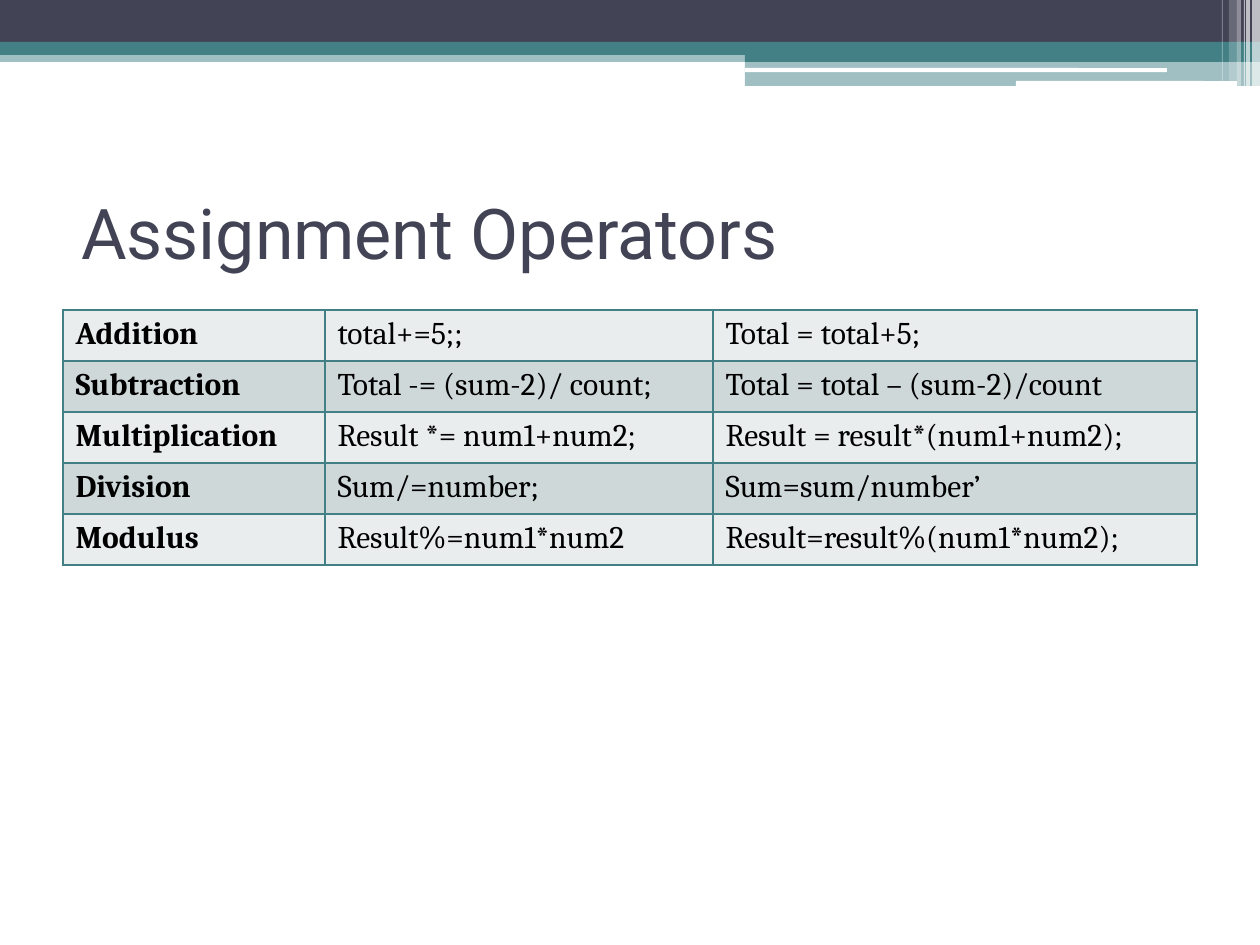
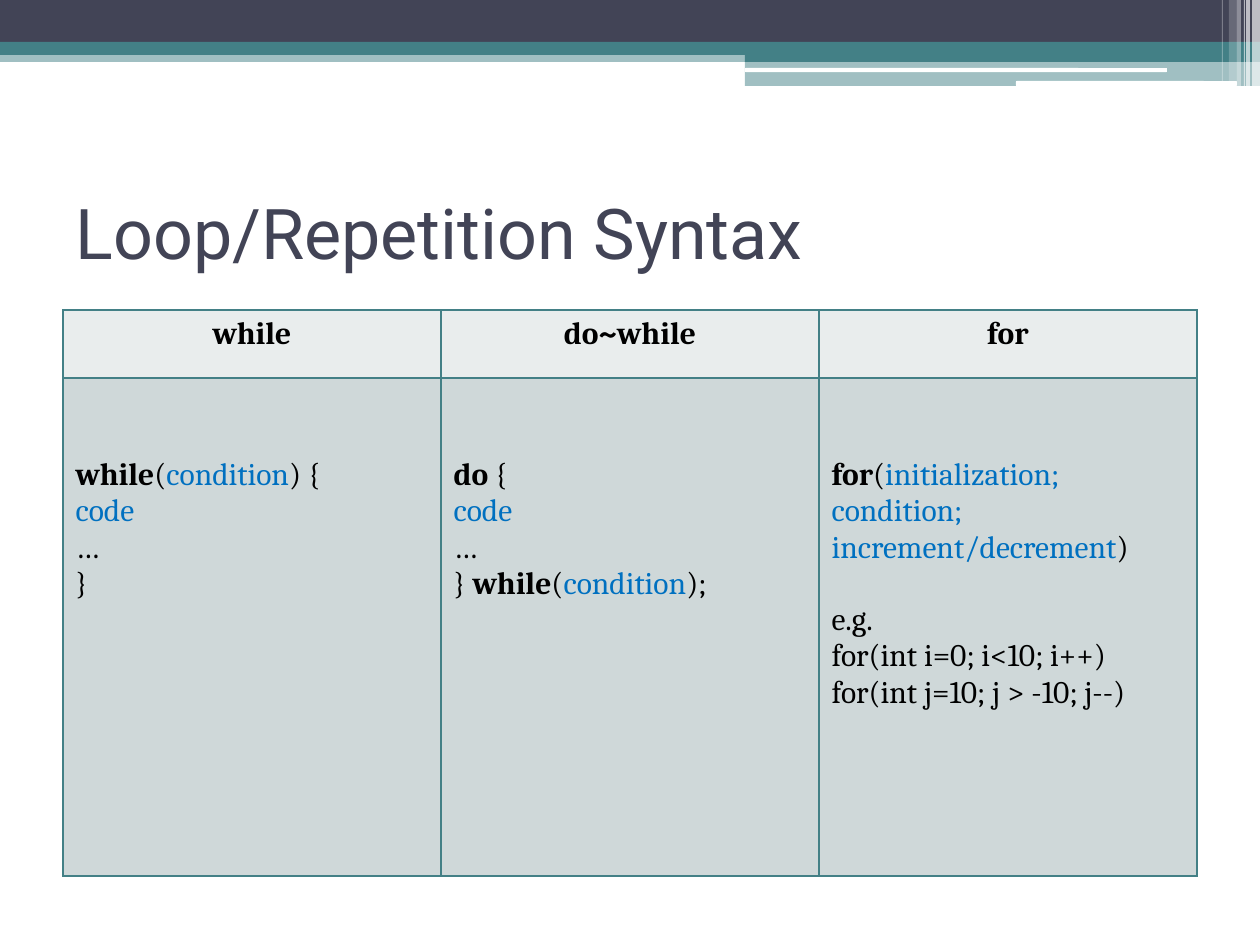
from typing import NamedTuple

from pptx import Presentation, oxml
from pptx import util as u
from pptx.dml import color
from pptx.enum import shapes, text
from pptx.oxml import ns

SCALE = 914400 / 126
DARK, TEAL, WHITE = "424456", "438086", "FFFFFF"
BLACK, BLUE = "000000", "0070C0"
FILLS = ("E9EDED", "CFD8D9")
RECT = shapes.MSO_SHAPE.RECTANGLE
ROUND = shapes.MSO_SHAPE.ROUNDED_RECTANGLE


class Band(NamedTuple):
    x: int
    y: int
    w: int
    h: int
    fill: str
    alpha: int = 100
    kind: int = RECT


class Run(NamedTuple):
    text: str
    bold: bool = False
    tint: str = BLACK


class Line(NamedTuple):
    runs: list[Run]
    gap: int = 0
    align: int = text.PP_ALIGN.LEFT


class Cell(NamedTuple):
    lines: list[Line]
    top: int = 6


BANDS = [
    Band(0, 50, 1260, 12, TEAL, 50),
    Band(0, 0, 1260, 42, DARK),
    Band(0, 42, 1260, 13, TEAL),
    Band(745, 49, 515, 13, TEAL),
    Band(745, 61, 515, 25, TEAL, 50),
    Band(745, 68, 422, 4, WHITE, kind=ROUND),
    Band(1016, 81, 221, 5, WHITE, kind=ROUND),
    Band(1252, 0, 8, 86, WHITE, 65),
    Band(1246, 0, 4, 86, WHITE, 65),
    Band(1244, 0, 1, 86, WHITE, 60),
    Band(1237, 0, 4, 86, WHITE, 40),
    Band(1229, 0, 8, 81, WHITE, 20),
    Band(1222, 0, 1, 81, WHITE, 30),
]

MATHS = [
    ("Addition", "total+=5;;", "Total = total+5;"),
    ("Subtraction", "Total -= (sum-2)/ count;", "Total = total – (sum-2)/count"),
    ("Multiplication", "Result *= num1+num2;", "Result = result*(num1+num2);"),
    ("Division", "Sum/=number;", "Sum=sum/number’"),
    ("Modulus", "Result%=num1*num2", "Result=result%(num1*num2);"),
]

CODE = [Line([Run("code", tint=BLUE)]), Line([Run("…")])]
TEST = Run("condition", tint=BLUE)
LOOPS = {
    "while": [
        Line([Run("while", True), Run("("), TEST, Run(") {")]),
        *CODE,
        Line([Run("}")]),
    ],
    "do~while": [
        Line([Run("do", True), Run(" {")]),
        *CODE,
        Line([Run("} "), Run("while", True), Run("("), TEST, Run(");")]),
    ],
    "for": [
        Line([
            Run("for", True),
            Run("("),
            Run("initialization; condition; increment/decrement", tint=BLUE),
            Run(")"),
        ]),
        Line([Run("e.g.")], gap=36),
        Line([Run("for(int i=0; i<10; i++)")]),
        Line([Run("for(int j=10; j > -10; j--)")]),
    ],
}


def px(size: int) -> u.Emu:
    return u.Emu(round(size * SCALE))


def paint(code: str) -> color.RGBColor:
    return color.RGBColor.from_string(code)


def add_run(para, run: Run, font: str, size: int) -> None:
    part = para.add_run()
    part.text = run.text
    part.font.name = font
    part.font.size = u.Pt(size)
    part.font.bold = run.bold
    part.font.color.rgb = paint(run.tint)


def draw_band(slide, band: Band) -> None:
    shape = slide.shapes.add_shape(
        band.kind, px(band.x), px(band.y), px(band.w), px(band.h)
    )
    shape.shadow.inherit = False
    shape.fill.solid()
    shape.fill.fore_color.rgb = paint(band.fill)
    shape.line.fill.background()
    if band.alpha < 100:
        clr = shape.element.spPr.find(".//" + ns.qn("a:srgbClr"))
        clr.append(oxml.parse_xml(
            f'<a:alpha {ns.nsdecls("a")} val="{band.alpha * 1000}"/>'
        ))


def set_title(slide, words: str, inset: int) -> None:
    title = slide.shapes.title
    title.left, title.top = px(63), px(158)
    title.width, title.height = px(1134), px(147)
    frame = title.text_frame
    frame.auto_size = text.MSO_AUTO_SIZE.NONE
    frame.word_wrap = True
    frame.vertical_anchor = text.MSO_ANCHOR.MIDDLE
    frame.margin_left = px(inset)
    para = frame.paragraphs[0]
    para.alignment = text.PP_ALIGN.LEFT
    add_run(para, Run(words, tint=DARK), "Roboto", 40)


def add_edges(cell) -> None:
    props = cell._tc.get_or_add_tcPr()
    for side in "LRTB":
        props.append(oxml.parse_xml(
            f'<a:ln{side} {ns.nsdecls("a")} w="12700"><a:solidFill>'
            f'<a:srgbClr val="{TEAL}"/></a:solidFill></a:ln{side}>'
        ))


def fill_cell(box, cell: Cell, fill: str) -> None:
    add_edges(box)
    box.fill.solid()
    box.fill.fore_color.rgb = paint(fill)
    box.margin_top = px(cell.top)
    frame = box.text_frame
    for i, line in enumerate(cell.lines):
        para = frame.add_paragraph() if i else frame.paragraphs[0]
        para.alignment = line.align
        if line.gap:
            para.space_before = px(line.gap)
        for run in line.runs:
            add_run(para, run, "Cambria", 18)


def draw_grid(
    slide, cols: list[int], rows: list[int], cells: list[list[Cell]]
) -> None:
    table = slide.shapes.add_table(
        len(rows), len(cols), px(63), px(310), px(sum(cols)), px(sum(rows))
    ).table
    table.first_row = table.horz_banding = False
    for col, wide in zip(table.columns, cols):
        col.width = px(wide)
    for row, tall in zip(table.rows, rows):
        row.height = px(tall)
    for r, line in enumerate(cells):
        for c, cell in enumerate(line):
            fill_cell(table.cell(r, c), cell, FILLS[r % 2])


def add_slide(deck, title: str, inset: int = 13):
    slide = deck.slides.add_slide(deck.slide_layouts[5])
    for band in BANDS:
        draw_band(slide, band)
    set_title(slide, title, inset)
    return slide


def main() -> None:
    deck = Presentation()
    deck.slide_width, deck.slide_height = px(1260), px(945)

    slide = add_slide(deck, "Assignment Operators", 18)
    cells = [
        [Cell([Line([Run(word, c == 0)])]) for c, word in enumerate(row)]
        for row in MATHS
    ]
    draw_grid(slide, [262, 388, 484], [51] * len(MATHS), cells)

    slide = add_slide(deck, "Loop/Repetition Syntax")
    heads = [
        Cell([Line([Run(name, True)], align=text.PP_ALIGN.CENTER)])
        for name in LOOPS
    ]
    bodies = [Cell(lines, top=79) for lines in LOOPS.values()]
    draw_grid(slide, [378] * len(LOOPS), [68, 498], [heads, bodies])

    deck.save("out.pptx")


if __name__ == "__main__":
    main()
